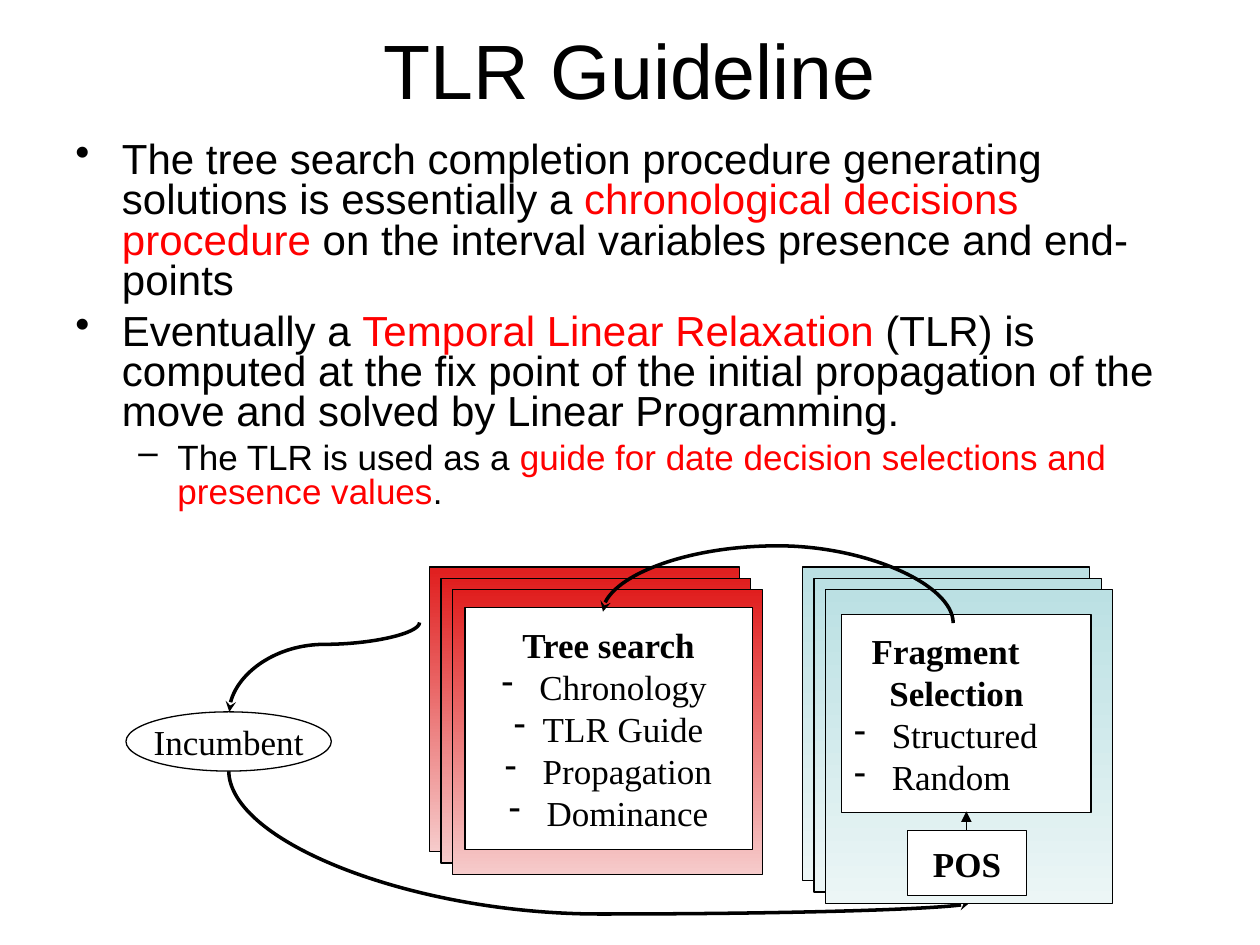
from lxml import etree
from pptx import Presentation, util as u
from pptx.dml.color import RGBColor
from pptx.enum import shapes, text
from pptx.oxml.ns import qn

COLORS = {
    "ink": "000000", "paper": "FFFFFF", "accent": "FF0000",
    "red_light": "F6CBCB", "red": "E01E1E",
    "teal_light": "ECF6F6", "teal": "BBE0E3",
}
SANS, SERIF = "Arial", "Times New Roman"
LEFT, CENTER = text.PP_ALIGN.LEFT, text.PP_ALIGN.CENTER
RECT, OVAL = shapes.MSO_SHAPE.RECTANGLE, shapes.MSO_SHAPE.OVAL


def rgb(name):
    return RGBColor.from_string(COLORS[name])


class Board:
    """The current slide with the style of its elements."""

    def __init__(self, slide):
        self.slide = slide

    def paragraph(self, frame, runs, size, font, align=LEFT, bullet=None,
                  margin=0, hang=0, spacing=None, before=0):
        """Add a paragraph; runs are (text, colour name, bold) tuples."""
        first = not frame.paragraphs[0].runs
        para = frame.paragraphs[0] if first else frame.add_paragraph()
        props = para._p.get_or_add_pPr()
        props.set("marL", str(u.Inches(margin)))
        props.set("indent", str(-u.Inches(hang)))
        if bullet:
            etree.SubElement(props, qn("a:buChar")).set("char", bullet)
        para.alignment = align
        if spacing:
            para.line_spacing = spacing
        para.space_before = u.Pt(0 if first else before)
        for words, color, bold in runs:
            run = para.add_run()
            run.text = words
            run.font.size = u.Pt(size)
            run.font.name = font
            run.font.bold = bold
            run.font.color.rgb = rgb(color)

    def text_box(self, left, top, width, height, anchor):
        box = self.slide.shapes.add_textbox(
            u.Inches(left), u.Inches(top), u.Inches(width), u.Inches(height))
        box.text_frame.word_wrap = True
        box.text_frame.vertical_anchor = anchor
        return box.text_frame

    def panel(self, left, top, width, height, kind=RECT, gradient=None):
        """Add an outlined shape; gradient runs from its bottom to its top."""
        shape = self.slide.shapes.add_shape(
            kind, u.Inches(left), u.Inches(top), u.Inches(width), u.Inches(height))
        shape.shadow.inherit = False
        shape.line.color.rgb = rgb("ink")
        shape.line.width = u.Pt(0.75)
        if gradient:
            shape.fill.gradient()
            shape.fill.gradient_angle = 90
            for stop, color in zip(shape.fill.gradient_stops, gradient):
                stop.color.rgb = rgb(color)
        else:
            shape.fill.solid()
            shape.fill.fore_color.rgb = rgb("paper")
        shape.text_frame.word_wrap = kind == RECT
        shape.text_frame.vertical_anchor = text.MSO_ANCHOR.MIDDLE
        return shape.text_frame

    def stack(self, left, top, width, height, gradient):
        """Add three panels, each a step further down and right."""
        for layer in range(3):
            self.panel(left + 0.09 * layer, top + 0.09 * layer,
                       width, height, gradient=gradient)

    def arrow(self, start, end, kind, weight, head, rotation=0, bend=None):
        """Add an arrow; start and end are the corners before rotation."""
        line = self.slide.shapes.add_connector(
            kind, *(u.Inches(value) for value in (*start, *end)))
        line.line.color.rgb = rgb("ink")
        line.line.width = u.Pt(weight)
        props = line._element.spPr
        etree.SubElement(props.find(qn("a:ln")), qn("a:tailEnd")).set("type", head)
        etree.SubElement(props, qn("a:effectLst"))
        if rotation:
            props.find(qn("a:xfrm")).set("rot", str(rotation * 60000))
        if bend is not None:
            geometry = props.find(qn("a:prstGeom"))
            guides = geometry.find(qn("a:avLst"))
            if guides is None:
                guides = etree.SubElement(geometry, qn("a:avLst"))
            guide = etree.SubElement(guides, qn("a:gd"))
            guide.set("name", "adj1")
            guide.set("fmla", f"val {round(bend * 100000)}")

    def curve(self, start, end, rotation, bend):
        self.arrow(start, end, shapes.MSO_CONNECTOR.CURVE, 2, "stealth", rotation, bend)


def add_guideline(board):
    title = board.text_box(0.5, -0.08, 9, 1.25, text.MSO_ANCHOR.MIDDLE)
    board.paragraph(title, [("TLR Guideline", "ink", False)], 44, SANS, CENTER)

    body = board.text_box(0.5, 1.08, 9, 3, text.MSO_ANCHOR.TOP)
    main = dict(size=24, bullet="•", margin=0.37, hang=0.37, before=6)
    detail = dict(size=20, bullet="–", margin=0.81, hang=0.31, before=5)
    points = [
        (main, "The tree search completion procedure generating solutions is essentially a ",
         "chronological decisions procedure",
         " on the interval variables presence and end-points"),
        (main, "Eventually a ", "Temporal Linear Relaxation",
         " (TLR) is computed at the fix point of the initial propagation of the move"
         " and solved by Linear Programming."),
        (detail, "The TLR is used as a ",
         "guide for date decision selections and presence values", "."),
    ]
    for style, lead, key, rest in points:
        runs = [(lead, "ink", False), (key, "accent", False), (rest, "ink", False)]
        board.paragraph(body, runs, font=SANS, spacing=0.8, **style)


def add_diagram(board):
    def label(frame, words, bold=False, align=CENTER, **layout):
        board.paragraph(frame, [(words, "ink", bold)], 20, SERIF, align, **layout)

    dash = dict(bullet="-", margin=0.23, hang=0.23)

    board.stack(3.41, 4.5, 2.46, 2.26, ("red_light", "red"))
    search = board.panel(3.69, 4.82, 2.28, 1.92)
    label(search, "Tree search", bold=True)
    for step in (" Chronology ", "TLR Guide", " Propagation", " Dominance"):
        label(search, step, **dash)

    board.curve((5.28, 3.7), (4.23, 9.58), 270, 1.085)
    label(board.panel(1, 5.65, 1.63, 0.47, OVAL), "Incumbent")

    board.stack(6.37, 4.5, 2.28, 2.49, ("teal_light", "teal"))
    label(board.panel(7.2, 6.59, 0.95, 0.52), "POS", bold=True)
    fragment = board.panel(6.68, 4.88, 1.98, 1.57)
    label(fragment, "Fragment", bold=True, align=LEFT, margin=0.14)
    label(fragment, "Selection", bold=True, align=LEFT, margin=0.28)
    for choice in (" Structured", " Random"):
        label(fragment, choice, align=LEFT, **dash)

    board.arrow((7.67, 6.59), (7.67, 6.44), shapes.MSO_CONNECTOR.STRAIGHT,
                0.75, "triangle")
    board.curve((6.13, 6.29), (6.22, 3.51), 270, 6.8)
    board.curve((2.22, 4.54), (2.93, 6.05), 90, 0.245)


def main():
    deck = Presentation()
    deck.slide_width, deck.slide_height = u.Inches(10), u.Inches(7.5)
    board = Board(deck.slides.add_slide(deck.slide_layouts[6]))
    add_guideline(board)
    add_diagram(board)
    deck.save("out.pptx")


if __name__ == "__main__":
    main()
